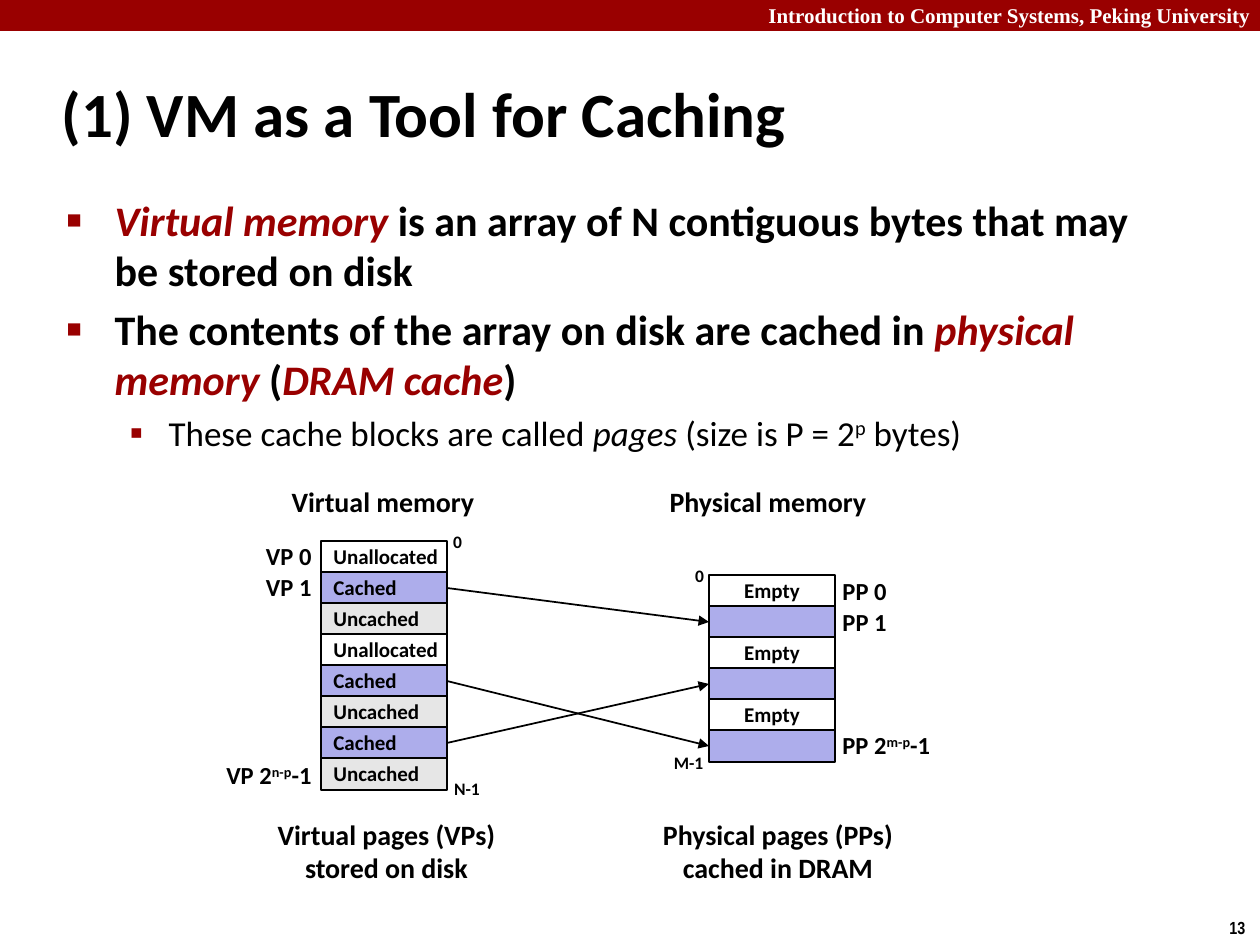
"""Build the slide on virtual memory as a tool for caching."""
from lxml import etree
from pptx import Presentation
from pptx.dml.color import RGBColor
from pptx.enum.shapes import MSO_CONNECTOR, MSO_SHAPE
from pptx.enum.text import MSO_ANCHOR, MSO_AUTO_SIZE, PP_ALIGN
from pptx.oxml.ns import qn
from pptx.util import Emu, Pt

LEFT, CENTER, RIGHT = PP_ALIGN.LEFT, PP_ALIGN.CENTER, PP_ALIGN.RIGHT
TOP, MIDDLE = MSO_ANCHOR.TOP, MSO_ANCHOR.MIDDLE
NO_FIT, GROW = MSO_AUTO_SIZE.NONE, MSO_AUTO_SIZE.SHAPE_TO_FIT_TEXT
RECTANGLE, STRAIGHT = MSO_SHAPE.RECTANGLE, MSO_CONNECTOR.STRAIGHT
SCALE = 914400 / 126
THEME = {
    "font": "Calibri", "header_font": "Times New Roman", "number_font": "Arial Narrow",
    "ink": RGBColor(0, 0, 0), "paper": RGBColor(255, 255, 255),
    "accent": RGBColor(0x99, 0, 0), "cached": RGBColor(0xAD, 0xAD, 0xEB),
    "uncached": RGBColor(0xE6, 0xE6, 0xE6),
    "title": Pt(36), "body": Pt(24), "detail": Pt(20), "caption": Pt(16),
    "page": Pt(14), "cell": Pt(12), "small": Pt(10),
}


def px(*values):
    return [Emu(round(value * SCALE)) for value in values]


def write(paragraph, runs, size, bold=True, font="font", color="ink"):
    for text, style in runs:
        run = paragraph.add_run()
        run.text = text
        run.font.color.rgb = THEME["accent" if style == "accent" else color]
        formats = {"name": THEME[font], "size": THEME[size], "bold": bold,
                   "italic": style in ("accent", "italic")}
        for name, value in formats.items():
            setattr(run.font, name, value)
        if style == "super":
            run.font._element.set("baseline", "30000")


presentation = Presentation()
presentation.slide_width, presentation.slide_height = px(1260, 945)
slide = presentation.slides.add_slide(presentation.slide_layouts[1])
shapes = slide.shapes
title, body = shapes.title, slide.placeholders[1]

for placeholder, place, anchor in [(title, (49, 60, 1046, 105), MIDDLE),
                                   (body, (54, 188, 1089, 285), TOP)]:
    placeholder.left, placeholder.top, placeholder.width, placeholder.height = px(*place)
    formats = {"word_wrap": True, "auto_size": NO_FIT, "vertical_anchor": anchor}
    for name, value in formats.items():
        setattr(placeholder.text_frame, name, value)

paragraph = title.text_frame.paragraphs[0]
paragraph.alignment = LEFT
write(paragraph, [("(1) VM as a Tool for Caching", "plain")], "title")

bullets = [
    (0, "■", 60, 48, 48, 0, "body",
     [("Virtual memory ", "accent"),
      ("is an array of N contiguous bytes that may be stored on disk", "plain")]),
    (0, "■", 60, 48, 48, 4.8, "body",
     [("The contents of the array on disk are cached in ", "plain"),
      ("physical memory", "accent"), (" (", "plain"),
      ("DRAM cache", "accent"), (")", "plain")]),
    (1, "▪", 110, 102, 39, 4, "detail",
     [("These cache blocks are called ", "plain"), ("pages ", "italic"),
      ("(size is P = 2", "plain"), ("p", "super"), (" bytes)", "plain")]),
]
for index, (level, mark, percent, margin, hang, before, size, runs) in enumerate(bullets):
    frame = body.text_frame
    paragraph = frame.add_paragraph() if index else frame.paragraphs[0]
    paragraph.level = level
    properties = paragraph._p.get_or_add_pPr()
    for name, value in zip(("marL", "indent"), px(margin, -hang)):
        properties.set(name, str(value))
    bullet_color = etree.SubElement(properties, qn("a:buClr"))
    etree.SubElement(bullet_color, qn("a:srgbClr"), val=str(THEME["accent"]))
    etree.SubElement(properties, qn("a:buSzPct"), val=str(percent * 1000))
    etree.SubElement(properties, qn("a:buChar"), char=mark)
    paragraph.space_before = Pt(before)
    write(paragraph, runs, size, bold=level == 0)

header = shapes.add_shape(RECTANGLE, *px(0, 0, 1260, 31))
header.shadow.inherit = False
header.fill.solid()
header.fill.fore_color.rgb = THEME["accent"]
header.line.fill.background()

virtual_pages = ["Unallocated", "Cached", "Uncached", "Unallocated",
                 "Cached", "Uncached", "Cached", "Uncached"]
physical_pages = ["Empty", "", "Empty", "", "Empty", ""]
fills = {"Cached": "cached", "": "cached", "Uncached": "uncached"}
memories = []
for left, top, alignment, pages in [(321, 541, LEFT, virtual_pages),
                                    (709, 575, CENTER, physical_pages)]:
    cells = []
    for row, state in enumerate(pages):
        cell = shapes.add_shape(RECTANGLE, *px(left, top + 31 * row, 126, 32))
        cell.shadow.inherit = False
        cell.fill.solid()
        cell.fill.fore_color.rgb = THEME[fills.get(state, "paper")]
        cell.line.color.rgb = THEME["ink"]
        cell.line.width = Pt(1.5)
        if state:
            cell.text_frame.word_wrap = False
            cell.text_frame.vertical_anchor = MIDDLE
            paragraph = cell.text_frame.paragraphs[0]
            paragraph.alignment = alignment
            paragraph.line_spacing = 0.98
            write(paragraph, [(state, "plain")], "cell")
        cells.append(cell)
    memories.append(cells)

virtual_cells, physical_cells = memories
for source, target in [(1, 1), (4, 5), (6, 3)]:
    arrow = shapes.add_connector(STRAIGHT, 0, 0, 0, 0)
    arrow.begin_connect(virtual_cells[source], 3)
    arrow.end_connect(physical_cells[target], 1)
    arrow.line.color.rgb = THEME["ink"]
    arrow.line.width = Pt(1)
    etree.SubElement(arrow.line._get_or_add_ln(), qn("a:tailEnd"), type="triangle")
    etree.SubElement(arrow._element.spPr, qn("a:effectLst"))

labels = [
    ("Virtual memory", (278, 483, 210, 42), CENTER, "caption", 0.88, TOP),
    ("Physical memory", (656, 483, 224, 42), CENTER, "caption", 0.88, TOP),
    ("VP 0", (253, 539, 71, 39), RIGHT, "page", 0.88, TOP),
    ("VP 1", (253, 570, 71, 39), RIGHT, "page", 0.88, TOP),
    ("VP 2^n-p^-1", (210, 758, 114, 39), RIGHT, "page", 0.88, TOP),
    ("PP 0", (830, 571, 69, 42), CENTER, "page", 0.98, MIDDLE),
    ("PP 1", (830, 602, 69, 42), CENTER, "page", 0.98, MIDDLE),
    ("PP 2^m-p^-1", (830, 728, 117, 39), LEFT, "page", 0.88, TOP),
    ("0", (440, 525, 35, 34), CENTER, "small", 0.98, MIDDLE),
    ("N-1", (441, 772, 52, 34), CENTER, "small", 0.98, MIDDLE),
    ("0", (682, 559, 35, 34), CENTER, "small", 0.98, MIDDLE),
    ("M-1", (661, 746, 55, 34), CENTER, "small", 0.98, MIDDLE),
    ("Virtual pages (VPs)\nstored on disk", (263, 813, 247, 79), CENTER, "caption", 0.98, MIDDLE),
    ("Physical pages (PPs)\ncached in DRAM", (649, 813, 258, 79), CENTER, "caption", 0.98, MIDDLE),
    ("Introduction to Computer Systems, Peking University", (756, -4, 513, 38),
     LEFT, "cell", 1.0, TOP, "header_font", "paper"),
    ("13", (1217, 911, 43, 34), LEFT, "small", 1.0, TOP, "number_font"),
]
for text, place, alignment, size, spacing, anchor, *look in labels:
    frame = shapes.add_textbox(*px(*place)).text_frame
    formats = {"word_wrap": False, "auto_size": GROW, "vertical_anchor": anchor}
    for name, value in formats.items():
        setattr(frame, name, value)
    for index, line in enumerate(text.split("\n")):
        paragraph = frame.add_paragraph() if index else frame.paragraphs[0]
        paragraph.alignment = alignment
        paragraph.line_spacing = spacing
        runs = zip(line.split("^"), ("plain", "super", "plain"))
        write(paragraph, runs, size, True, *look)

presentation.save("out.pptx")
